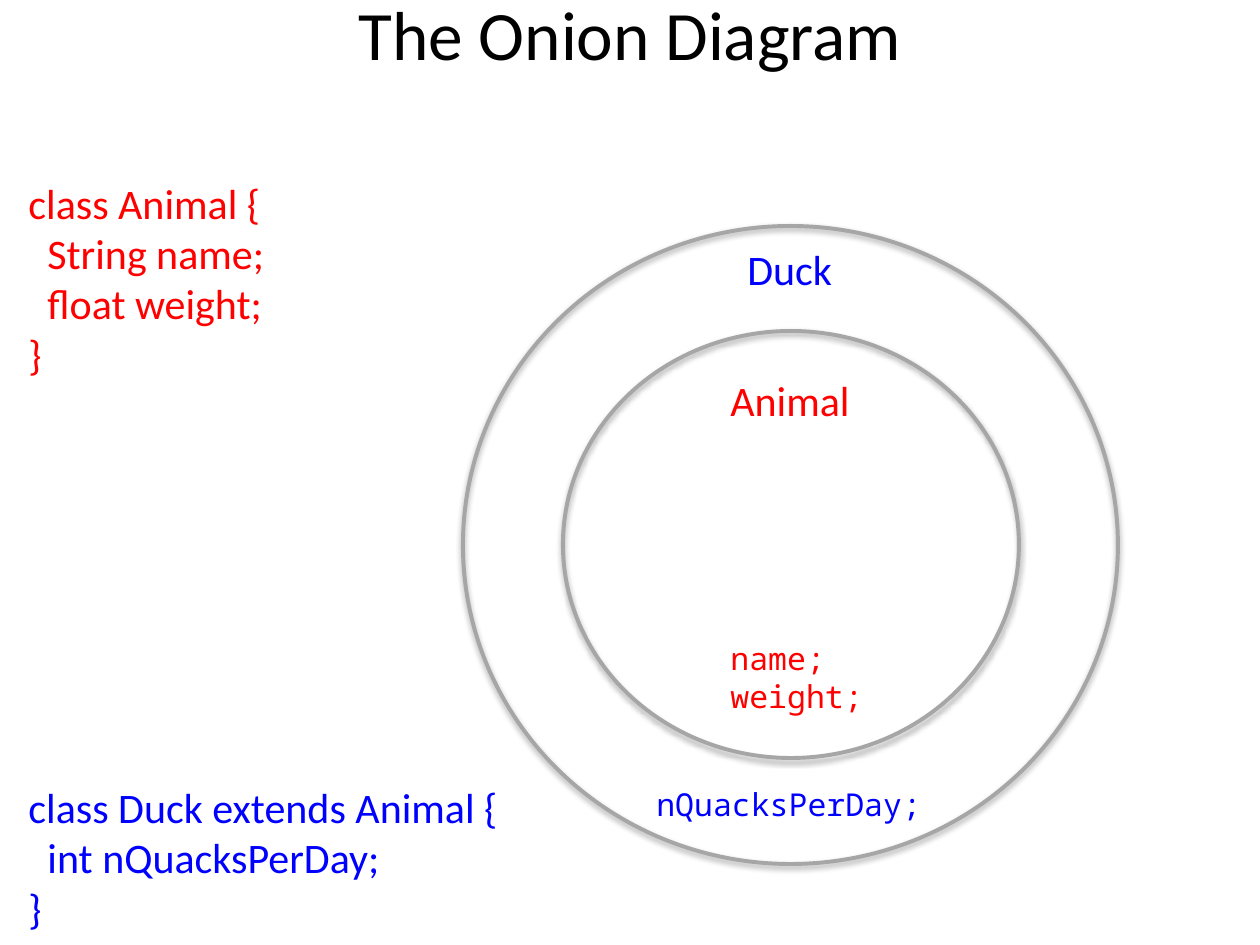
"""Build the onion diagram slide: two nested classes beside their code."""
from dataclasses import dataclass

from lxml.etree import SubElement
from pptx import Presentation
from pptx.dml.color import RGBColor
from pptx.enum.shapes import MSO_SHAPE
from pptx.enum.text import MSO_ANCHOR, PP_ALIGN
from pptx.oxml.ns import qn
from pptx.slide import Slide
from pptx.util import Emu, Pt

SCALE = 914400 / 126
BLACK = RGBColor(0x00, 0x00, 0x00)
RED = RGBColor(0xFF, 0x00, 0x00)
BLUE = RGBColor(0x00, 0x00, 0xFF)
GRAY = RGBColor(0xA6, 0xA6, 0xA6)
SANS = "Calibri"
MONO = "Noto Sans Mono"
INDENT = 19


@dataclass(frozen=True)
class Box:
    left: int
    top: int
    width: int
    height: int


@dataclass(frozen=True)
class Label:
    box: Box
    lines: tuple[str, ...]
    color: RGBColor
    size: float = 24
    font: str = SANS
    inner: range = range(0)


RINGS = (Box(563, 331, 456, 427), Box(463, 226, 655, 638))
TITLE = Label(Box(63, 0, 1134, 66), ("The Onion Diagram",), BLACK, 39.6)
LABELS = (
    Label(Box(718, 368, 146, 63), ("Animal",), RED),
    Label(Box(735, 237, 112, 63), ("Duck",), BLUE),
    Label(Box(718, 633, 159, 89), ("name;", "weight;"), RED, 18, MONO),
    Label(Box(644, 779, 292, 50), ("nQuacksPerDay;",), BLUE, 18, MONO),
    Label(Box(16, 171, 500, 227),
          ("class Animal {", "String name;", "float weight;", "}"),
          RED, inner=range(1, 3)),
    Label(Box(16, 775, 500, 170),
          ("class Duck extends Animal {", "int nQuacksPerDay;", "}"),
          BLUE, inner=range(1, 2)),
)


def px(value: int) -> Emu:
    """Turn pixels into EMU."""
    return Emu(round(value * SCALE))


def place(box: Box) -> tuple[Emu, Emu, Emu, Emu]:
    """Return the position and size of a box in EMU."""
    return px(box.left), px(box.top), px(box.width), px(box.height)


def draw_ring(slide: Slide, box: Box) -> None:
    """Draw an unfilled ellipse with a soft shadow below it."""
    ring = slide.shapes.add_shape(MSO_SHAPE.OVAL, *place(box))
    ring.fill.background()
    ring.line.color.rgb = GRAY
    ring.line.width = Pt(2.25)
    ring.shadow.inherit = False
    effects = ring.element.spPr.find(qn("a:effectLst"))
    shade = SubElement(effects, qn("a:outerShdw"), blurRad="40000",
                       dist="23000", dir="5400000", rotWithShape="0")
    color = SubElement(shade, qn("a:srgbClr"), val=str(BLACK))
    SubElement(color, qn("a:alpha"), val="35000")


def draw_label(slide: Slide, label: Label, title: bool = False) -> None:
    """Write the lines of a label, indenting its inner ones."""
    frame = slide.shapes.add_textbox(*place(label.box)).text_frame
    frame.word_wrap = title
    frame.text = "\n".join(label.lines)
    if title:
        frame.vertical_anchor = MSO_ANCHOR.MIDDLE
    for row, para in enumerate(frame.paragraphs):
        para.alignment = PP_ALIGN.CENTER if title else PP_ALIGN.LEFT
        if row in label.inner:
            para._p.get_or_add_pPr().set("marL", str(px(INDENT)))
        for run in para.runs:
            run.font.name = label.font
            run.font.size = Pt(label.size)
            run.font.color.rgb = label.color


def main() -> None:
    """Build and save the slide."""
    deck = Presentation()
    deck.slide_width, deck.slide_height = px(1260), px(945)
    slide = deck.slides.add_slide(deck.slide_layouts[6])
    for ring in RINGS:
        draw_ring(slide, ring)
    draw_label(slide, TITLE, title=True)
    for label in LABELS:
        draw_label(slide, label)
    deck.save("out.pptx")


if __name__ == "__main__":
    main()
